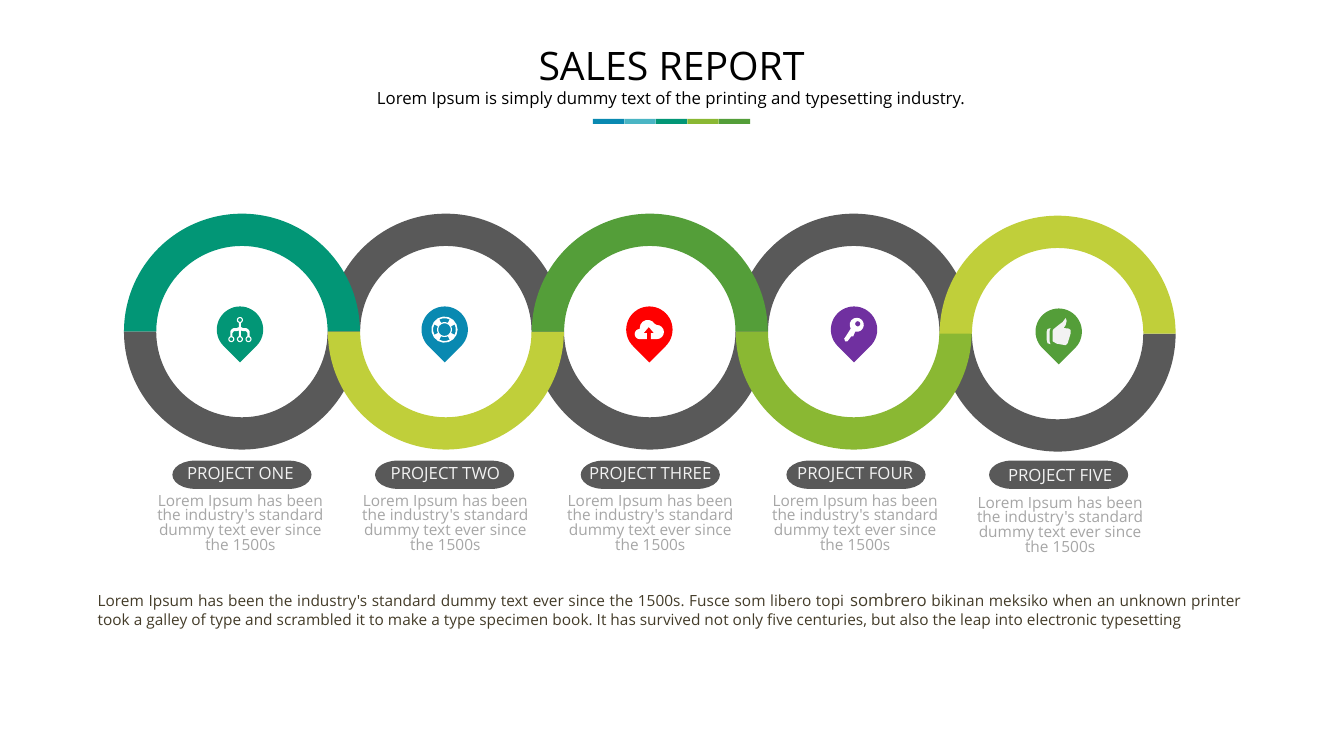
import math

import pptx
import pptx.dml.color
import pptx.enum.shapes
import pptx.enum.text
import pptx.util
from pptx.util import Inches

RGBColor = pptx.dml.color.RGBColor
MSO_SHAPE = pptx.enum.shapes.MSO_SHAPE
PP_ALIGN = pptx.enum.text.PP_ALIGN
ANCHOR = pptx.enum.text.MSO_ANCHOR
AUTO_SIZE = pptx.enum.text.MSO_AUTO_SIZE

FONT = "Open Sans"
BLACK = RGBColor(0x00, 0x00, 0x00)
WHITE = RGBColor(0xFF, 0xFF, 0xFF)
OFF_WHITE = RGBColor(0xF2, 0xF2, 0xF2)
LIGHT_GRAY = RGBColor(0xA6, 0xA6, 0xA6)
GRAY = RGBColor(0x59, 0x59, 0x59)
BROWN = RGBColor(0x44, 0x3C, 0x29)
TEAL = RGBColor(0x02, 0x96, 0x76)
BLUE = RGBColor(0x09, 0x89, 0xB1)
SKY = RGBColor(0x4A, 0xB5, 0xC4)
GREEN = RGBColor(0x54, 0x9E, 0x39)
LEAF = RGBColor(0x8A, 0xB8, 0x33)
LIME = RGBColor(0xC0, 0xCF, 0x3A)
RED = RGBColor(0xFF, 0x00, 0x00)
PURPLE = RGBColor(0x70, 0x30, 0xA0)

LAST_DROP = 0.02  # the fifth project sits slightly lower
HALF_TURN = 108  # 180 degrees in the units of block arc adjustments
BLURB = "Lorem Ipsum has been the industry's standard dummy text ever since the 1500s"


def arc(cx, cy, r, start, end):
    """Points on an arc; angles in degrees, clockwise from the right."""
    steps = max(3, round(abs(end - start) / 24))
    angles = [math.radians(start + (end - start) * k / steps) for k in range(steps + 1)]
    return [(cx + r * math.cos(a), cy + r * math.sin(a)) for a in angles]


def circle(cx, cy, r):
    return arc(cx, cy, r, 0, 360)[:-1]


# Icon outlines, in hundredths of an inch
def network_icon():
    half = [(1, 6), (1, 10), (3, 11), (6, 11), (8, 12), (9.5, 14), (9.5, 19),
            (7.5, 19), (7.5, 16), (6, 14), (3, 14), (1, 13.5), (1, 19)]
    contours = [half + [(-x, y) for x, y in reversed(half)]]
    for x, y in [(0, 3), (-8.5, 22), (0, 22), (8.5, 22)]:
        contours += [circle(x, y, 3), circle(x, y, 1.9)]
    return contours


def lifebuoy_icon():
    windows = [arc(0, 0, 11.3, a - 27, a + 27) + arc(0, 0, 7.4, a + 27, a - 27)
               for a in range(0, 360, 90)]
    return [circle(0, 0, 13), circle(0, 0, 6.3)] + windows


def cloud_icon():
    arrow = [(16, 19), (16, 13), (19, 13), (14, 7), (9, 13), (12, 13), (12, 19)]
    return [arc(5, 14, 5, 90, 270) + arc(13, 8, 8, 180, 330)
            + arc(22, 12, 7, 270, 450) + arrow]


def key_icon():
    shaft = [(9, 19), (7, 19), (4, 23), (3, 24), (1, 24), (0, 21), (1, 20)]
    return [arc(12.5, 7.5, 7, 148, 463) + shaft, circle(13.5, 6.5, 2.6)]


def thumb_icon():
    hand = [(17, 11), (19, 8), (20, 4), (19, 1), (16, 5), (12, 8), (7, 12), (6, 14),
            (6, 24), (10, 26.5), (16, 27.5), (19, 28), (21, 26), (24, 16), (24, 13), (22, 11.5)]
    cuff = [(4, 11), (1, 12), (0, 15), (0, 22), (1, 26), (4, 27), (3, 24), (3, 14)]
    return [hand, cuff]


PROJECTS = [  # name, pill left, ring top, ring bottom, pin, icon, icon colour
    ("PROJECT ONE", 1.71, TEAL, GRAY, TEAL, network_icon, WHITE),
    ("PROJECT TWO", 3.72, GRAY, LIME, BLUE, lifebuoy_icon, WHITE),
    ("PROJECT THREE", 5.76, GREEN, GRAY, RED, cloud_icon, WHITE),
    ("PROJECT FOUR", 7.8, GRAY, LEAF, PURPLE, key_icon, WHITE),
    ("PROJECT FIVE", 9.81, LIME, GRAY, GREEN, thumb_icon, OFF_WHITE),
]
# Back to front, so that neighbouring rings look linked
RING_ORDER = [(4, "bottom"), (3, "top"), (2, "bottom"), (1, "top"), (0, "top"),
              (0, "bottom"), (1, "bottom"), (2, "top"), (3, "bottom"), (4, "top")]


def paint(sp, color):
    sp.shadow.inherit = False
    sp.fill.solid()
    sp.fill.fore_color.rgb = color
    sp.line.fill.background()


def add_block(shapes, kind, x, y, w, h, color):
    sp = shapes.add_shape(kind, Inches(x), Inches(y), Inches(w), Inches(h))
    paint(sp, color)
    return sp


def add_outline(shapes, contours, color):
    contours = [[(Inches(x), Inches(y)) for x, y in c] for c in contours]
    builder = shapes.build_freeform(*contours[0][0])
    for k, points in enumerate(contours):
        if k:
            builder.move_to(*points[0])
        builder.add_line_segments(points[1:], close=True)
    paint(builder.convert_to_shape(), color)


def add_half_ring(s, i, half):
    x, y, size = 1.23 + (9.32 - 1.23) / 4 * i, 2.12 + LAST_DROP * (i == 4), 2.34
    is_top = half == "top"
    color = PROJECTS[i][2 if is_top else 3]
    sp = add_block(s.shapes, MSO_SHAPE.BLOCK_ARC, x, y, size, size, color)
    sp.adjustments[0] = HALF_TURN if is_top else 0
    sp.adjustments[1] = 0 if is_top else HALF_TURN
    sp.adjustments[2] = 0.32 / size


def add_pin(s, i, color, icon, icon_color):
    x, y, size = 2.15 + 2.03 * i, 3.04 + LAST_DROP * (i == 4), 0.46
    group = s.shapes.add_group_shape()
    add_block(group.shapes, MSO_SHAPE.TEAR, x, y, size, size, color).rotation = 135
    contours = icon()
    xs, ys = zip(*[point for c in contours for point in c])
    dx = x + size / 2 - (min(xs) + max(xs)) / 200
    dy = y + size / 2 - (min(ys) + max(ys)) / 200
    add_outline(group.shapes, [[(px / 100 + dx, py / 100 + dy) for px, py in c]
                               for c in contours], icon_color)


def add_run(p, text, size, color):
    r = p.add_run()
    r.text = text
    r.font.name = FONT
    r.font.size = pptx.util.Pt(size)
    r.font.color.rgb = color


def add_text_box(s, x, y, w, h):
    tf = s.shapes.add_textbox(Inches(x), Inches(y), Inches(w), Inches(h)).text_frame
    tf.word_wrap = True
    return tf


def space(p, size):
    p.space_before = pptx.util.Pt(round(0.2 * size, 1))
    p.space_after = pptx.util.Pt(6)


def add_caption(s, i, name):
    tf = add_text_box(s, 1.41 + (9.54 - 1.41) / 4 * i, 4.58 + LAST_DROP * (i == 4), 1.95, 0.72)
    lines = [(name, 12, OFF_WHITE), (BLURB, 11, LIGHT_GRAY)]
    for k, (text, size, color) in enumerate(lines):
        p = tf.add_paragraph() if k else tf.paragraphs[0]
        p.alignment = PP_ALIGN.CENTER
        p.line_spacing = 0.8
        space(p, size)
        add_run(p, text, size, color)


def add_heading(s):
    title = s.shapes.title
    title.left, title.top = Inches(2.71), Inches(0.4)
    title.width, title.height = Inches(7.9), Inches(0.49)
    tf = title.text_frame
    tf.auto_size = AUTO_SIZE.NONE
    tf.vertical_anchor = ANCHOR.MIDDLE
    tf.paragraphs[0].alignment = PP_ALIGN.CENTER
    add_run(tf.paragraphs[0], "SALES REPORT", 28, BLACK)

    tf = add_text_box(s, 3.29, 0.82, 6.74, 0.3)
    tf.auto_size = AUTO_SIZE.SHAPE_TO_FIT_TEXT
    p = tf.paragraphs[0]
    p.alignment = PP_ALIGN.CENTER
    add_run(p, "Lorem Ipsum is simply dummy text of the printing and typesetting industry.", 12, BLACK)

    bar = s.shapes.add_group_shape()
    for k, color in enumerate([BLUE, SKY, TEAL, LEAF, GREEN]):
        add_block(bar.shapes, MSO_SHAPE.RECTANGLE, 5.88 + 1.25 / 4 * k, 1.18, 0.31, 0.05, color)


def add_summary(s):
    p = add_text_box(s, 0.87, 5.8, 11.54, 0.67).paragraphs[0]
    p.alignment = PP_ALIGN.JUSTIFY
    space(p, 11)
    add_run(p, BLURB + ". Fusce som libero topi ", 11, BROWN)
    add_run(p, "sombrero", 12, BROWN)
    add_run(p, " bikinan meksiko when an unknown printer took a galley of type and scrambled it "
               "to make a type specimen book. It has survived not only five centuries, but also "
               "the leap into electronic typesetting", 11, BROWN)


def main():
    prs = pptx.Presentation()
    prs.slide_width, prs.slide_height = Inches(13.33), Inches(7.5)
    s = prs.slides.add_slide(prs.slide_layouts[5])
    add_heading(s)
    # Linked rings
    for i, half in RING_ORDER:
        add_half_ring(s, i, half)
    # Pin, pill and caption of each project
    for i, (name, pill_left, _, _, pin, icon, icon_color) in enumerate(PROJECTS):
        add_pin(s, i, pin, icon, icon_color)
        add_block(s.shapes, MSO_SHAPE.FLOWCHART_TERMINATOR, pill_left, 4.57, 1.38, 0.28, GRAY)
        add_caption(s, i, name)
    add_summary(s)
    prs.save("out.pptx")


if __name__ == "__main__":
    main()
